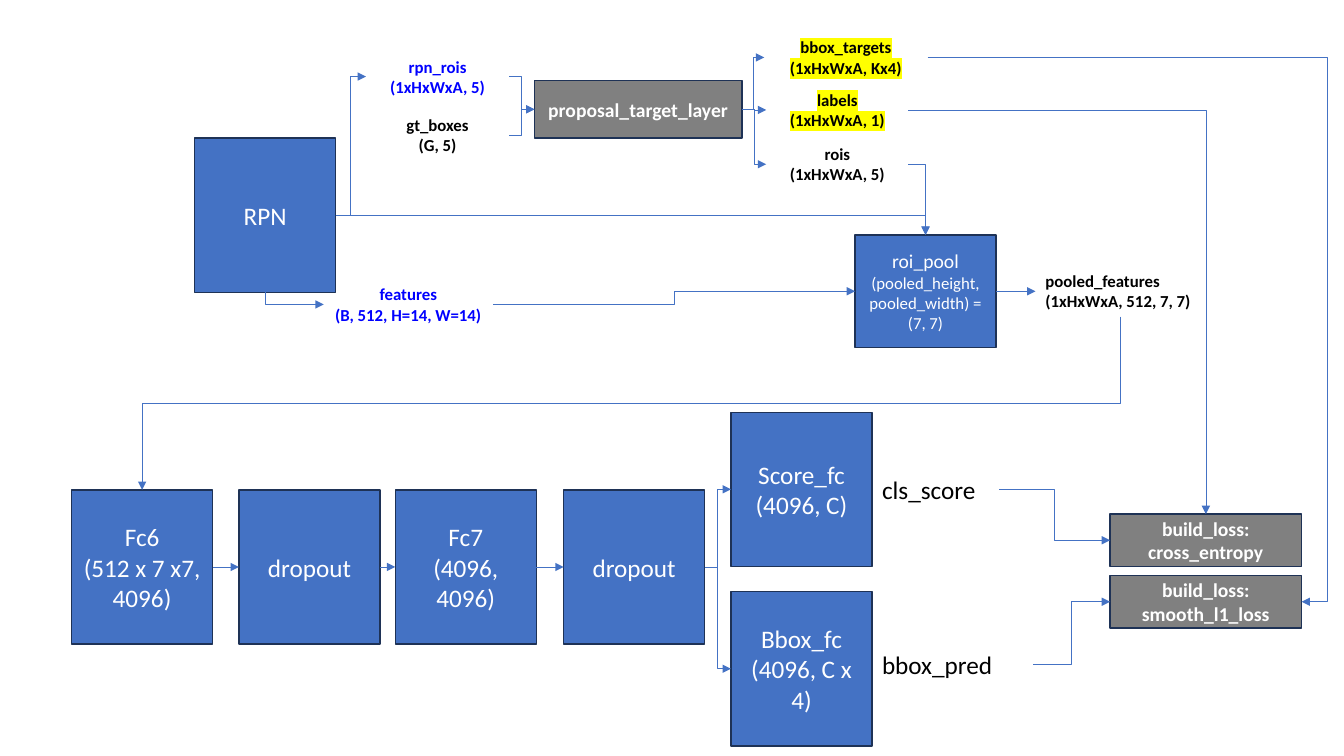
from lxml import etree
from pptx import Presentation
from pptx.dml.color import RGBColor
from pptx.enum.shapes import MSO_CONNECTOR, MSO_SHAPE
from pptx.enum.text import MSO_ANCHOR, MSO_AUTO_SIZE, PP_ALIGN
from pptx.oxml.ns import qn
from pptx.util import Inches, Pt

BLUE = RGBColor(0x44, 0x72, 0xC4)
NAVY = RGBColor(0x1E, 0x32, 0x56)
GRAY = RGBColor(0x80, 0x80, 0x80)
WHITE = RGBColor(0xFF, 0xFF, 0xFF)
BLACK = RGBColor(0, 0, 0)
INPUT_BLUE = RGBColor(0, 0, 0xFF)
YELLOW = RGBColor(0xFF, 0xFF, 0)

FONT = "Calibri"
RECTANGLE = MSO_SHAPE.RECTANGLE
ELBOW = MSO_CONNECTOR.ELBOW
MIDDLE = MSO_ANCHOR.MIDDLE
GROW = MSO_AUTO_SIZE.SHAPE_TO_FIT_TEXT
CENTER, LEFT = PP_ALIGN.CENTER, PP_ALIGN.LEFT

# Connection sites of a rectangle
TOP_SITE, LEFT_SITE, BOTTOM_SITE, RIGHT_SITE = range(4)

LAYER_SIZE = (1.4, 1.53)
LABEL_HEIGHT = 0.5


def write_lines(frame, lines, sizes, color, bold=False, align=CENTER, highlight=None):
    """Write one paragraph per line; the last size serves all remaining lines."""
    frame.text = "\n".join(lines)
    for index, para in enumerate(frame.paragraphs):
        para.alignment = align
        for span in para.runs:
            font = span.font
            font.name = FONT
            font.size = Pt(sizes[min(index, len(sizes) - 1)])
            font.bold = bold
            font.color.rgb = color
            if highlight is not None:
                mark = etree.Element(qn("a:highlight"))
                etree.SubElement(mark, qn("a:srgbClr")).set("val", str(highlight))
                font.fill  # the fill element already stands in the run properties
                span.font._element.find(qn("a:solidFill")).addnext(mark)


def add_block(page, left, top, size, lines, fill=BLUE, sizes=(18,), bold=False):
    width, height = size
    block = page.shapes.add_shape(
        RECTANGLE, Inches(left), Inches(top), Inches(width), Inches(height))
    block.shadow.inherit = False
    block.fill.solid()
    block.fill.fore_color.rgb = fill
    block.line.color.rgb = NAVY
    block.line.width = Pt(1)
    block.text_frame.word_wrap = True
    block.text_frame.vertical_anchor = MIDDLE
    write_lines(block.text_frame, lines, sizes, WHITE, bold)
    return block


def add_label(page, left, top, width, lines, height=LABEL_HEIGHT, wrap=True,
              size=12, color=BLACK, bold=True, align=CENTER, highlight=None):
    label = page.shapes.add_textbox(
        Inches(left), Inches(top), Inches(width), Inches(height))
    label.text_frame.word_wrap = wrap
    label.text_frame.auto_size = GROW
    write_lines(label.text_frame, lines, (size,), color, bold, align, highlight)
    return label


def connect(page, start, end, start_site=RIGHT_SITE, end_site=LEFT_SITE, bend=None):
    """Join two parts by an elbow arrow; bend moves its middle leg."""
    arrow = page.shapes.add_connector(ELBOW, 0, 0, 0, 0)
    arrow.begin_connect(start, start_site)
    arrow.end_connect(end, end_site)
    arrow.line.color.rgb = BLUE
    arrow.line.width = Pt(0.5)
    properties = arrow._element.spPr
    geometry = properties.find(qn("a:prstGeom"))

    # A single corner is enough when the two ends are perpendicular
    if start_site % 2 != end_site % 2:
        geometry.set("prst", "bentConnector2")
    if bend is not None:
        guide = etree.SubElement(geometry.find(qn("a:avLst")), qn("a:gd"))
        guide.set("name", "adj1")
        guide.set("fmla", f"val {round(bend * 100000)}")

    # An arrow that leaves downwards is turned a quarter about its centre
    if start_site == BOTTOM_SITE:
        rightwards = arrow.end_x > arrow.begin_x
        width, height = arrow.width, arrow.height
        arrow.left += (width - height) // 2
        arrow.top += (height - width) // 2
        arrow.width, arrow.height = height, width
        frame = properties.find(qn("a:xfrm"))
        frame.set("rot", "16200000" if rightwards else "5400000")
        frame.set("flipH", "1" if rightwards else "0")

    line = properties.find(qn("a:ln"))
    etree.SubElement(line, qn("a:tailEnd")).set("type", "triangle")
    etree.SubElement(properties, qn("a:effectLst"))


def add_proposal_stage(page, left, top):
    """Region proposals, their targets and the pooled features."""
    rpn = add_block(page, left, top + 1.05, LAYER_SIZE, ["RPN"])
    features = add_label(page, left + 1.28, top + 2.45, 1.68,
                         ["features", "(B, 512, H=14, W=14)"],
                         wrap=False, color=INPUT_BLUE)
    roi_pool = add_block(page, left + 6.55, top + 2.01, (1.4, 1.12),
                         ["roi_pool", "(pooled_height, pooled_width) = (7, 7)"],
                         sizes=(14, 12))
    pooled = add_label(page, left + 8.34, top + 2.32, 1.69,
                       ["pooled_features", "(1xHxWxA, 512, 7, 7)"], align=LEFT)
    target_layer = add_block(page, left + 3.37, top + 0.48, (2.06, 0.57),
                             ["proposal_target_layer"], GRAY, (14,), True)

    # Inputs and outputs of the target layer
    rpn_rois = add_label(page, left + 1.7, top + 0.19, 1.42,
                         ["rpn_rois", "(1xHxWxA, 5)"], color=INPUT_BLUE)
    gt_boxes = add_label(page, left + 1.7, top + 0.77, 1.42, ["gt_boxes", "(G, 5)"])
    targets = add_label(page, left + 5.65, top, 1.62,
                        ["bbox_targets", "(1xHxWxA, Kx4)"], highlight=YELLOW)
    labels = add_label(page, left + 5.67, top + 0.52, 1.41,
                       ["labels", "(1xHxWxA, 1)"], highlight=YELLOW)
    rois = add_label(page, left + 5.67, top + 1.06, 1.41, ["rois", "(1xHxWxA, 5)"])

    for source in (rpn_rois, gt_boxes):
        connect(page, source, target_layer)
    for output in (targets, labels, rois):
        connect(page, target_layer, output)
    for source in (rpn, rois):
        connect(page, source, roi_pool, end_site=TOP_SITE)
    connect(page, rpn, rpn_rois)
    connect(page, rpn, features, BOTTOM_SITE)
    connect(page, features, roi_pool)
    connect(page, roi_pool, pooled)
    return targets, labels, pooled


def add_classifier_stage(page, left, top):
    """Fully connected chain that splits into the score and box heads."""
    chain_layers = [
        (0, ["Fc6", "(512 x 7 x7,", "4096)"]),
        (1.66, ["dropout"]),
        (3.21, ["Fc7", "(4096, 4096)"]),
        (4.88, ["dropout"]),
    ]
    chain = [add_block(page, left + offset, top + 0.77, LAYER_SIZE, lines)
             for offset, lines in chain_layers]
    for layer, following in zip(chain, chain[1:]):
        connect(page, layer, following)

    predictions = []
    heads = [
        (0, ["Score_fc", "(4096, C)"], "cls_score", 0.57, 1.26),
        (1.78, ["Bbox_fc", "(4096, C x 4)"], "bbox_pred", 2.3, 1.6),
    ]
    for offset, lines, prediction, label_offset, width in heads:
        head = add_block(page, left + 6.54, top + offset, LAYER_SIZE, lines)
        connect(page, chain[-1], head)
        predictions.append(add_label(
            page, left + 7.94, top + label_offset, width, [prediction],
            height=0.4, size=18, bold=False, align=LEFT))
    return chain[0], predictions


def add_losses(page, left, top):
    return [add_block(page, left, top + 0.61 * row, (1.9, 0.52),
                      ["build_loss:", name], GRAY, (14,), True)
            for row, name in enumerate(("cross_entropy", "smooth_l1_loss"))]


def main():
    deck = Presentation()
    deck.slide_width, deck.slide_height = Inches(13.33), Inches(7.5)
    page = deck.slides.add_slide(deck.slide_layouts[6])

    targets, labels, pooled = add_proposal_stage(page, 1.93, 0.32)
    first_layer, predictions = add_classifier_stage(page, 0.71, 4.09)
    losses = add_losses(page, 11.01, 5.1)

    # Arrows between the stages
    connect(page, pooled, first_layer, BOTTOM_SITE, TOP_SITE)
    for prediction, loss in zip(predictions, losses):
        connect(page, prediction, loss)
    cross_entropy, smooth_l1 = losses
    connect(page, labels, cross_entropy, end_site=TOP_SITE)
    connect(page, targets, smooth_l1, end_site=RIGHT_SITE, bend=1.07)

    deck.save("out.pptx")


if __name__ == "__main__":
    main()
